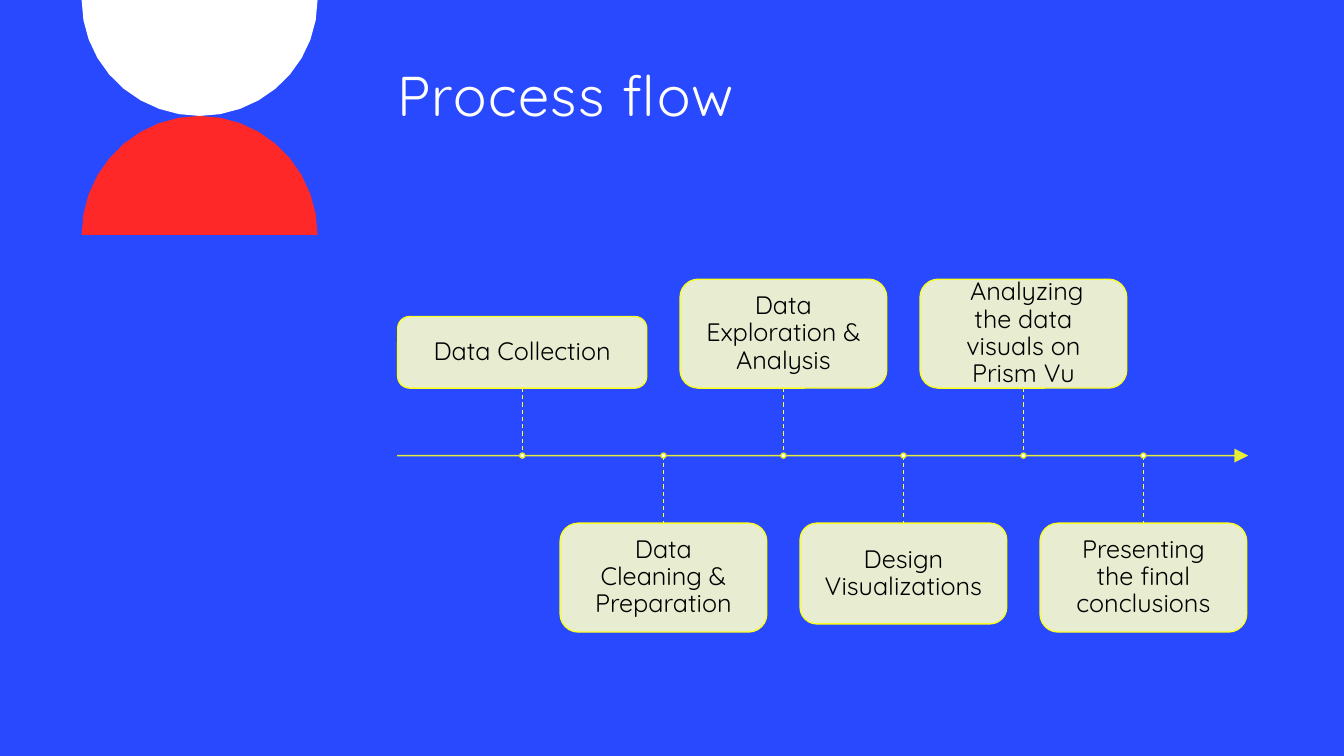
import math
from lxml import etree
from pptx import Presentation, util as u
from pptx.dml.color import RGBColor
from pptx.enum import dml, shapes, text
from pptx.oxml.ns import qn

FONT = "Quicksand"
LEFT, RIGHT = 3.94, 12.38        # ends of the time line
AXIS = 4.52                      # its height on the slide
GAP = 0.67                       # from the time line to a card
FIRST, SECOND, STEP = 5.18, 6.58, 1.19  # column centres and pitch
DOT = 0.05


def color(value):
    return RGBColor.from_string(value)


def add_line(x1, y1, x2, y2, width, dash):
    """Yellow straight line; returns its a:ln element."""
    c = s.shapes.add_connector(shapes.MSO_CONNECTOR.STRAIGHT,
                               *[u.Inches(v) for v in (x1, y1, x2, y2)])
    for name, value in {"width": u.Pt(width), "dash_style": dash}.items():
        setattr(c.line, name, value)
    c.line.color.rgb = color("FBFF22")
    etree.SubElement(c._element.spPr, qn("a:effectLst"))
    return c.line._get_or_add_ln()


prs = Presentation()
prs.slide_width, prs.slide_height = u.Inches(13.33), u.Inches(7.5)
s = prs.slides.add_slide(prs.slide_layouts[6])
s.background.fill.solid()
s.background.fill.fore_color.rgb = color("2849FD")

# Two half discs: centre height, radius down (+) or up (-), fill
for cy, ry, fill in [(0, 1.15, "FFFFFF"), (2.33, -1.18, "FF2828")]:
    points = [(u.Inches(1.98 + 1.17 * math.cos(math.radians(a))),
               u.Inches(cy + ry * math.sin(math.radians(a))))
              for a in range(0, 181, 10)]
    fb = s.shapes.build_freeform(*points[0])
    fb.add_line_segments(points[1:], close=True)
    sp = fb.convert_to_shape()
    sp.shadow.inherit = False
    sp.fill.solid()
    sp.fill.fore_color.rgb = color(fill)
    sp.line.fill.background()

# Title
sp = s.shapes.add_textbox(*[u.Inches(v) for v in (LEFT, 0.68, 7, 0.85)])
tf = sp.text_frame
for name, value in {"word_wrap": True, "margin_left": 0, "margin_right": 0,
                    "margin_top": 0, "margin_bottom": 0}.items():
    setattr(tf, name, value)
p = tf.paragraphs[0]
p.line_spacing = 0.9
r = p.add_run()
r.text = "Process flow"
for name, value in {"name": FONT, "size": u.Pt(40)}.items():
    setattr(r.font, name, value)
r.font.color.rgb = color("FFFFFF")
r.font._element.set("spc", "100")

# Time line, slightly transparent, with a large arrowhead
ln = add_line(LEFT, AXIS, RIGHT, AXIS, 1, dml.MSO_LINE.SOLID)
etree.SubElement(ln.find(qn("a:solidFill"))[0], qn("a:alpha"), val="90000")
etree.SubElement(ln, qn("a:tailEnd"), type="triangle", w="lg", len="lg")

# Steps, alternately above and below the time line: text, card size
steps = [
    ("Data Collection", 2.47, 0.71),
    ("Data Cleaning & Preparation", 2.05, 1.08),
    ("Data Exploration & Analysis", 2.05, 1.08),
    ("Design Visualizations", 2.05, 1),
    (" Analyzing the data visuals on Prism Vu", 2.05, 1.08),
    ("Presenting the final conclusions", 2.05, 1.08),
]
for i, (label, w, h) in enumerate(steps):
    x = SECOND + (i - 1) * STEP if i else FIRST
    above = i % 2 == 0
    edge = AXIS - GAP if above else AXIS + GAP
    top = edge - h if above else edge

    card = s.shapes.add_shape(
        shapes.MSO_SHAPE.ROUNDED_RECTANGLE,
        *[u.Inches(v) for v in (x - w / 2, top, w, h)])
    add_line(x, min(AXIS, edge), x, max(AXIS, edge), 0.75, dml.MSO_LINE.DASH)
    dot = s.shapes.add_shape(
        shapes.MSO_SHAPE.OVAL,
        *[u.Inches(v) for v in (x - DOT / 2, AXIS - DOT / 2, DOT, DOT)])
    for sp, fill, line in [(card, "FDFFCD", "FBFF22"), (dot, "FFFFFF", "E4E71F")]:
        sp.shadow.inherit = False
        sp.fill.solid()
        sp.fill.fore_color.rgb = color(fill)
        sp.line.color.rgb = color(line)
        sp.line.width = u.Pt(1)

    # Card fill is slightly transparent
    rgb = card._element.spPr.find(qn("a:solidFill")).find(qn("a:srgbClr"))
    etree.SubElement(rgb, qn("a:alpha"), val="90000")

    tf = card.text_frame
    inset = u.Inches(0.17)
    for name, value in {"word_wrap": True, "margin_left": inset,
                        "margin_right": inset, "margin_top": inset,
                        "margin_bottom": inset,
                        "vertical_anchor": text.MSO_ANCHOR.MIDDLE}.items():
        setattr(tf, name, value)
    p = tf.paragraphs[0]
    p.alignment, p.line_spacing = text.PP_ALIGN.CENTER, 0.9
    r = p.add_run()
    r.text = label
    for name, value in {"name": FONT, "size": u.Pt(18)}.items():
        setattr(r.font, name, value)
    r.font.color.rgb = color("000000")

prs.save("out.pptx")
